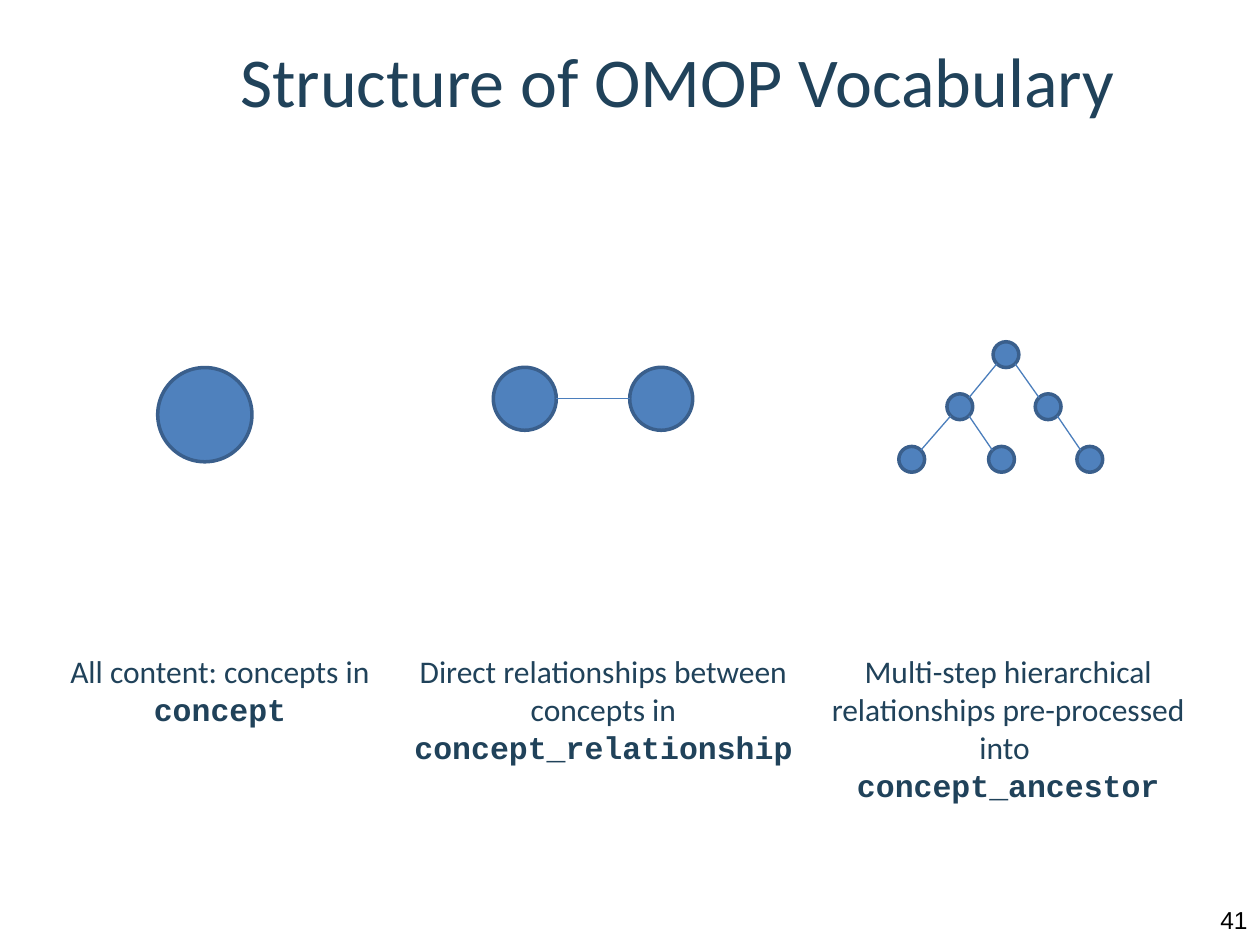
from dataclasses import dataclass
from math import hypot, sqrt

from lxml import etree
from pptx import Presentation
from pptx import util as u
from pptx.dml.color import RGBColor
from pptx.enum import shapes, text
from pptx.oxml.ns import qn


@dataclass(frozen=True)
class Theme:
    ink: RGBColor = RGBColor(0x20, 0x42, 0x5A)
    black: RGBColor = RGBColor(0, 0, 0)
    fill: RGBColor = RGBColor(0x4F, 0x81, 0xBD)
    edge: RGBColor = RGBColor(0x3A, 0x5F, 0x8C)
    link: RGBColor = RGBColor(0x4B, 0x7E, 0xBC)
    sans: str = "Calibri"
    mono: str = "Courier New"
    plain: str = "Arial"
    title: int = 40
    body: int = 18
    page: int = 14


THEME = Theme()
ALIGN = text.PP_ALIGN
ANCHOR = text.MSO_ANCHOR

NOTES = [
    ((0.84, 7.19, 2.34), ["All content: concepts in "], "concept"),
    ((7.62, 9.09, 2.74), ["Direct relationships between concepts in "],
     "concept_relationship"),
    ((15.88, 8.89, 3.61),
     ["Multi-step hierarchical relationships pre-processed", "into ", ""],
     "concept_ancestor"),
]

TREE = {
    "root": (20.28, 7.15),
    "left": (19.35, 8.2),
    "right": (21.13, 8.2),
    "leaf1": (18.38, 9.26),
    "leaf2": (20.19, 9.26),
    "leaf3": (21.97, 9.26),
}
EDGES = [("root", "left"), ("root", "right"), ("left", "leaf1"),
         ("left", "leaf2"), ("right", "leaf3")]


def style(font, name, size, color):
    font.name = name
    font.size = u.Pt(size)
    font.color.rgb = color


def add_box(slide, left, top, width, height, pad=0.25,
            anchor=ANCHOR.TOP, align=ALIGN.CENTER):
    box = slide.shapes.add_textbox(*map(u.Cm, (left, top, width, height)))
    frame = box.text_frame
    frame.word_wrap = True
    frame.vertical_anchor = anchor
    frame.margin_left = frame.margin_right = u.Cm(0.25)
    frame.margin_top = frame.margin_bottom = u.Cm(pad)
    para = frame.paragraphs[0]
    para.alignment = align
    return para


def add_label(para, words, name, size, color):
    para.text = words
    style(para.font, name, size, color)


def add_note(slide, place, lines, table):
    left, width, height = place
    para = add_box(slide, left, 12.9, width, height)
    for i, line in enumerate(lines):
        if i:
            para.add_line_break()
        if line:
            run = para.add_run()
            run.text = line
            style(run.font, THEME.sans, THEME.body, THEME.ink)
    code = para.add_run()
    code.text = table
    style(code.font, THEME.mono, THEME.body, THEME.ink)
    code.font.bold = True


def add_node(slide, mid, size):
    x, y = mid
    node = slide.shapes.add_shape(
        shapes.MSO_SHAPE.OVAL, u.Cm(x - size / 2), u.Cm(y - size / 2),
        u.Cm(size), u.Cm(size))
    node.shadow.inherit = False
    node.fill.solid()
    node.fill.fore_color.rgb = THEME.fill
    node.line.color.rgb = THEME.edge
    node.line.width = u.Pt(2)


def add_link(slide, start, end):
    line = slide.shapes.add_connector(
        shapes.MSO_CONNECTOR.STRAIGHT, *map(u.Cm, (*start, *end)))
    line.line.color.rgb = THEME.link
    line.line.width = u.Pt(0.75)
    etree.SubElement(line._element.spPr, qn("a:effectLst"))


def add_pair(slide, left, right, size):
    for mid in (left, right):
        add_node(slide, mid, size)
    gap = size / 2 / hypot(right[0] - left[0], right[1] - left[1])
    dx, dy = (gap * (b - a) for a, b in zip(left, right))
    add_link(slide, (left[0] + dx, left[1] + dy),
             (right[0] - dx, right[1] - dy))


def add_tree(slide, size):
    step = size / 2 / sqrt(2)
    for mid in TREE.values():
        add_node(slide, mid, size)
    for head, tail in EDGES:
        (x1, y1), (x2, y2) = TREE[head], TREE[tail]
        side = step if x2 > x1 else -step
        add_link(slide, (x1 + side, y1 + step), (x2 - side, y2 - step))


def main():
    deck = Presentation()
    deck.slide_width, deck.slide_height = u.Cm(25.4), u.Cm(19.05)
    slide = deck.slides.add_slide(deck.slide_layouts[6])

    title = add_box(slide, 3.18, 0.43, 20.95, 2.34, anchor=ANCHOR.MIDDLE)
    add_label(title, "Structure of OMOP Vocabulary",
              THEME.sans, THEME.title, THEME.ink)
    for note in NOTES:
        add_note(slide, *note)

    add_node(slide, (4.13, 8.36), 1.9)
    add_pair(slide, (10.58, 8.04), (13.33, 8.04), 1.27)
    add_tree(slide, 0.52)

    page = add_box(slide, 19.48, 18.03, 5.92, 1.02, pad=0.13,
                   anchor=ANCHOR.MIDDLE, align=ALIGN.RIGHT)
    add_label(page, "41", THEME.plain, THEME.page, THEME.black)
    deck.save("out.pptx")


if __name__ == "__main__":
    main()
